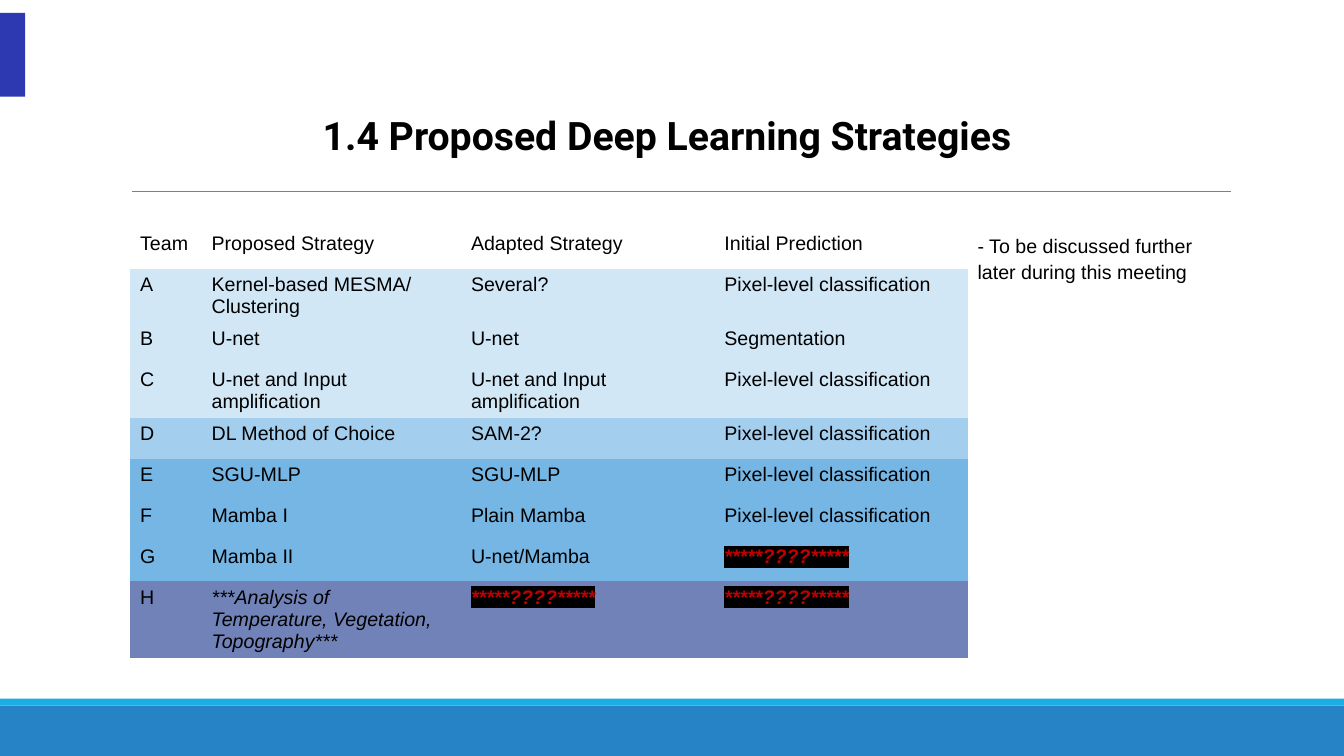
from dataclasses import dataclass

from lxml.etree import SubElement
from pptx import Presentation
from pptx.dml.color import RGBColor
from pptx.enum.shapes import MSO_CONNECTOR as Connector, MSO_SHAPE as Preset
from pptx.enum.text import MSO_ANCHOR as Anchor, MSO_AUTO_SIZE as AutoSize, PP_ALIGN as Align
from pptx.oxml.ns import qn
from pptx.util import Pt

BLACK = RGBColor(0x00, 0x00, 0x00)
RED = RGBColor(0xC0, 0x00, 0x00)
GREY = RGBColor(0x7F, 0x7F, 0x7F)
BLUE = RGBColor(0x26, 0x83, 0xC6)
CYAN = RGBColor(0x1C, 0xAD, 0xE4)
INDIGO = RGBColor(0x2C, 0x39, 0xB1)
PALE = RGBColor(0xD1, 0xE7, 0xF6)
LIGHT = RGBColor(0xA3, 0xCE, 0xED)
MEDIUM = RGBColor(0x75, 0xB6, 0xE5)
VIOLET = RGBColor(0x71, 0x82, 0xB8)

NO_GRID_STYLE = "{2D5ABB26-0587-4C30-8999-92F81FD0307C}"
UNKNOWN = "*****????*****"
PIXEL = "Pixel-level classification"

TITLE_FONT = {"name": "Roboto", "size": Pt(28), "bold": True}
BODY_FONT = {"name": "Arial", "size": Pt(14), "bold": False}
ITALIC_FONT = BODY_FONT | {"italic": True}
UNKNOWN_FONT = ITALIC_FONT | {"bold": True}
TITLE_FRAME = {
    "auto_size": AutoSize.NONE, "word_wrap": True, "vertical_anchor": Anchor.TOP,
    "margin_left": Pt(7.2), "margin_right": Pt(7.2),
    "margin_top": Pt(7.2), "margin_bottom": Pt(7.2),
}


@dataclass(frozen=True)
class Band:
    left: float
    top: float
    width: float
    height: float
    color: RGBColor


@dataclass(frozen=True)
class Team:
    name: str
    proposed: str
    adapted: str
    prediction: str
    color: RGBColor | None

    def texts(self) -> tuple[str, ...]:
        return self.name, self.proposed, self.adapted, self.prediction


BANDS = (
    Band(0, 504, 960, 36, BLUE),
    Band(0, 499, 960, 5, CYAN),
    Band(0, 9.2, 18, 59.8, INDIGO),
)

TEAMS = (
    Team("Team", "Proposed Strategy", "Adapted Strategy", "Initial Prediction", None),
    Team("A", "Kernel-based MESMA/ Clustering", "Several?", PIXEL, PALE),
    Team("B", "U-net", "U-net", "Segmentation", PALE),
    Team("C", "U-net and Input amplification", "U-net and Input amplification", PIXEL, PALE),
    Team("D", "DL Method of Choice", "SAM-2?", PIXEL, LIGHT),
    Team("E", "SGU-MLP", "SGU-MLP", PIXEL, MEDIUM),
    Team("F", "Mamba I", "Plain Mamba", PIXEL, MEDIUM),
    Team("G", "Mamba II", "U-net/Mamba", UNKNOWN, MEDIUM),
    Team("H", "***Analysis of Temperature, Vegetation, Topography***", UNKNOWN, UNKNOWN, VIOLET),
)
COLUMN_WIDTHS = (51.1, 185.3, 181, 181)
ROW_HEIGHT = 29.2


def apply(target, values: dict) -> None:
    for key, value in values.items():
        setattr(target, key, value)


def write(paragraph, text: str, font: dict, color: RGBColor = BLACK):
    run = paragraph.add_run()
    run.text = text
    apply(run.font, font)
    run.font.color.rgb = color
    return run


def highlight(run, color: RGBColor) -> None:
    properties = run.font._element
    mark = SubElement(properties, qn("a:highlight"))
    SubElement(mark, qn("a:srgbClr")).set("val", str(color))
    properties.find(qn("a:solidFill")).addnext(mark)


def place(shape, left: float, top: float, width: float, height: float) -> None:
    apply(shape, {"left": Pt(left), "top": Pt(top), "width": Pt(width), "height": Pt(height)})


def add_band(slide, band: Band) -> None:
    bar = slide.shapes.add_shape(
        Preset.RECTANGLE, Pt(band.left), Pt(band.top), Pt(band.width), Pt(band.height))
    bar.shadow.inherit = False
    bar.fill.solid()
    bar.fill.fore_color.rgb = band.color
    bar.line.fill.background()


def add_title_rule(slide) -> None:
    rule = slide.shapes.add_connector(Connector.STRAIGHT, Pt(94.3), Pt(136.6), Pt(879), Pt(136.6))
    rule.line.color.rgb = GREY
    rule.line.width = Pt(0.75)
    SubElement(rule._element.spPr, qn("a:effectLst"))


def fill_cell(cell, text: str, color: RGBColor | None) -> None:
    if color is None:
        cell.fill.background()
    else:
        cell.fill.solid()
        cell.fill.fore_color.rgb = color
    paragraph = cell.text_frame.paragraphs[0]
    if text == UNKNOWN:
        highlight(write(paragraph, text, UNKNOWN_FONT, RED), BLACK)
    else:
        write(paragraph, text, ITALIC_FONT if text.startswith("***") else BODY_FONT)


def add_strategies(slide) -> None:
    frame = slide.shapes.add_table(
        len(TEAMS), len(COLUMN_WIDTHS), Pt(92.9), Pt(162.7),
        Pt(sum(COLUMN_WIDTHS)), Pt(ROW_HEIGHT * len(TEAMS)))
    strategies = frame.table
    apply(strategies, {"first_row": False, "horz_banding": False})
    for style in frame._element.iter(qn("a:tableStyleId")):
        style.text = NO_GRID_STYLE
    for column, width in zip(strategies.columns, COLUMN_WIDTHS):
        column.width = Pt(width)
    for row, team in zip(strategies.rows, TEAMS):
        row.height = Pt(ROW_HEIGHT)
        for cell, text in zip(row.cells, team.texts()):
            fill_cell(cell, text, team.color)


def add_heading(slide) -> None:
    heading = slide.shapes.title
    place(heading, 208, 72, 543.6, 82)
    apply(heading.text_frame, TITLE_FRAME)
    paragraph = heading.text_frame.paragraphs[0]
    paragraph.alignment = Align.CENTER
    write(paragraph, "1.4 Proposed Deep Learning Strategies ", TITLE_FONT)


def add_meeting_note(slide) -> None:
    note = slide.shapes.add_textbox(Pt(691.2), Pt(162.7), Pt(197.3), Pt(41))
    note.text_frame.word_wrap = True
    paragraph = note.text_frame.paragraphs[0]
    paragraph.line_spacing = 1.07
    write(paragraph, "- To be discussed further later during this meeting", BODY_FONT)


def main() -> None:
    deck = Presentation()
    apply(deck, {"slide_width": Pt(960), "slide_height": Pt(540)})
    slide = deck.slides.add_slide(deck.slide_layouts[5])
    for band in BANDS:
        add_band(slide, band)
    add_title_rule(slide)
    add_strategies(slide)
    add_heading(slide)
    add_meeting_note(slide)
    deck.save("out.pptx")


if __name__ == "__main__":
    main()
